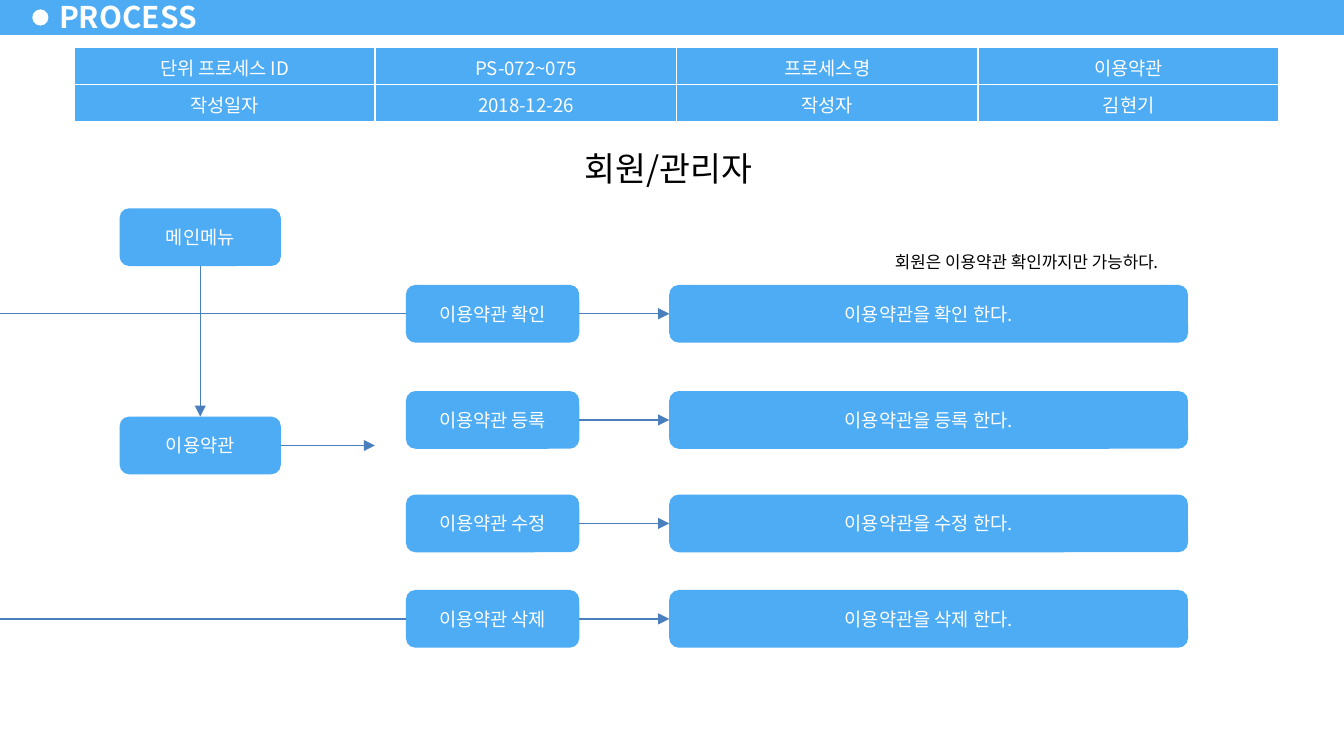
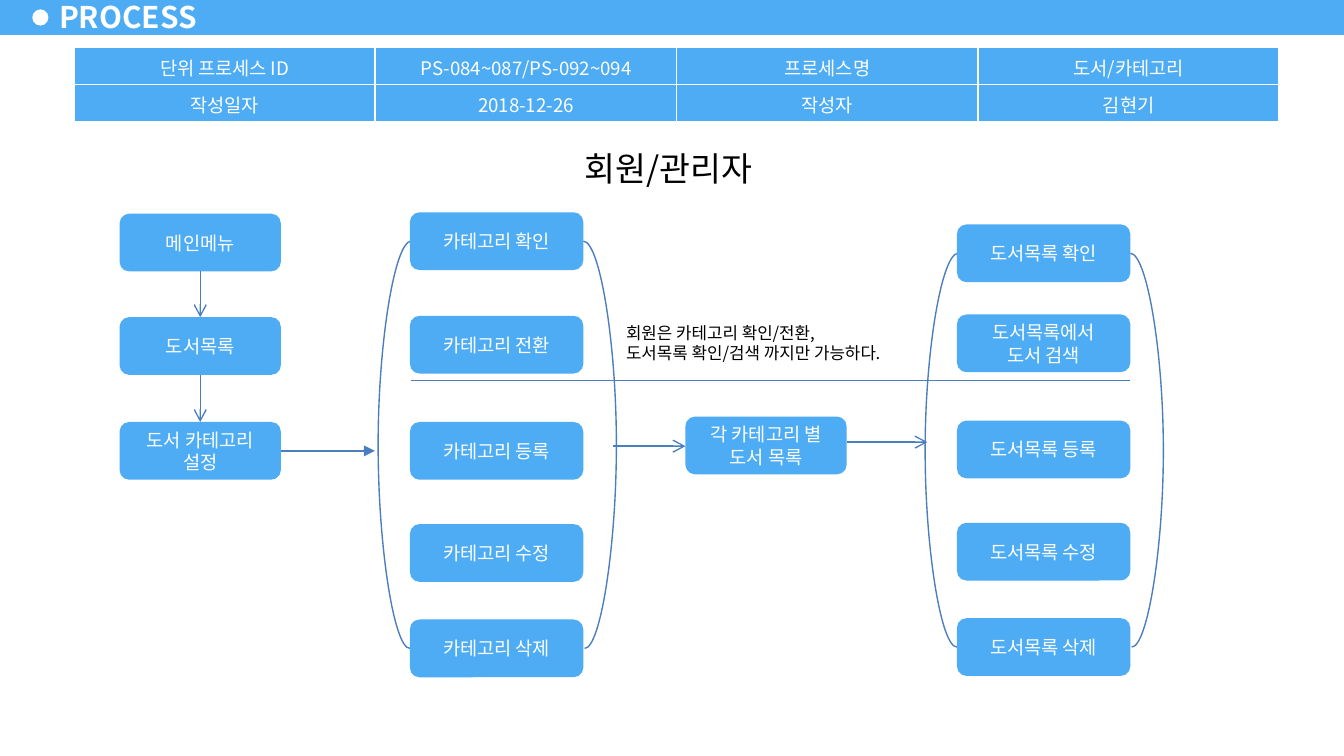
from dataclasses import dataclass

from lxml.etree import SubElement
from pptx import Presentation
from pptx.dml.color import RGBColor
from pptx.enum.shapes import MSO_CONNECTOR as Link, MSO_SHAPE as Preset
from pptx.enum.text import MSO_ANCHOR as Anchor, MSO_AUTO_SIZE as Fit, PP_ALIGN as Align
from pptx.oxml import parse_xml
from pptx.oxml.ns import nsdecls, qn
from pptx.util import Inches, Pt


@dataclass(frozen=True)
class Theme:
    """Colours, font and type sizes shared by the slides."""
    blue: RGBColor = RGBColor(0x4D, 0xAC, 0xF3)
    line: RGBColor = RGBColor(0x4B, 0x7E, 0xBC)
    white: RGBColor = RGBColor(0xFF, 0xFF, 0xFF)
    black: RGBColor = RGBColor(0, 0, 0)
    font: str = "Noto Sans CJK KR"
    title: int = 16
    role: int = 18
    body: int = 10
    note: int = 9
    stroke: float = 0.75


THEME = Theme()
NODE_HEIGHT = 0.43
STEP_WIDTH = 1.2
TASK_WIDTH = 1.29


def write(frame, text, size, color, align=Align.CENTER, bold=False, **settings):
    """Fill a text frame with one paragraph per line of text."""
    for name, value in settings.items():
        setattr(frame, name, value)
    for index, line in enumerate(text.split("\n")):
        para = frame.paragraphs[0] if index == 0 else frame.add_paragraph()
        para.alignment = align
        span = para.add_run()
        span.text = line
        for name, value in {"size": Pt(size), "name": THEME.font, "bold": bold}.items():
            setattr(span.font, name, value)
        span.font.color.rgb = color
        SubElement(span.font._element, qn("a:ea"), typeface=THEME.font)


def add_box(page, preset, box, fill):
    """Add a flat shape without an outline."""
    shape = page.shapes.add_shape(preset, *map(Inches, box))
    shape.shadow.inherit = False
    shape.fill.solid()
    shape.fill.fore_color.rgb = fill
    shape.line.fill.background()
    return shape


def add_node(page, box, text):
    """Add a rounded blue node with centred white text."""
    shape = add_box(page, Preset.ROUNDED_RECTANGLE, box, THEME.blue)
    write(shape.text_frame, text, THEME.body, THEME.white,
          vertical_anchor=Anchor.MIDDLE, word_wrap=True)


def add_line(page, start, end, head=None, kind=Link.STRAIGHT):
    """Add a thin line, with an arrowhead at its end if one is named."""
    line = page.shapes.add_connector(kind, *map(Inches, (*start, *end)))
    line.line.color.rgb = THEME.line
    line.line.width = Pt(THEME.stroke)
    if head:
        SubElement(line.line._get_or_add_ln(), qn("a:tailEnd"), type=head)
    SubElement(line._element.spPr, qn("a:effectLst"))
    return line


def add_bracket(page, x, top, bottom, side):
    """Add a curve that bulges left (side -1) or right (side 1)."""
    width, bulge = 0.01, 0.25
    curve = add_line(page, (x, top), (x + side * width, bottom), kind=Link.CURVE)
    guides = curve._element.spPr.find(qn("a:prstGeom")).find(qn("a:avLst"))
    SubElement(guides, qn("a:gd"), name="adj1", fmla=f"val {round(bulge / width * 100000)}")


def add_note(page, box, text):
    """Add a small black remark that keeps its own line breaks."""
    note = page.shapes.add_textbox(*map(Inches, box))
    write(note.text_frame, text, THEME.note, THEME.black, Align.LEFT,
          word_wrap=False, auto_size=Fit.SHAPE_TO_FIT_TEXT)


def add_header(page, box):
    """Draw the title band with its bullet and title."""
    left, top, width, height = box
    add_box(page, Preset.RECTANGLE, box, THEME.blue)
    add_box(page, Preset.OVAL, (left + 0.24, top + 0.09, 0.12, 0.12), THEME.white)
    title = page.shapes.add_textbox(
        *map(Inches, (left + 0.35, top - 0.02, 1.22, height + 0.04)))
    write(title.text_frame, "PROCESS", THEME.title, THEME.white, Align.LEFT, True,
          vertical_anchor=Anchor.MIDDLE, word_wrap=False,
          margin_left=Inches(0.09), margin_right=Inches(0.09),
          margin_top=Inches(0.04), margin_bottom=Inches(0.04))


def add_info_table(page, box, process_id, process_name):
    """Draw the table that identifies the process."""
    rows = [["단위 프로세스 ID", process_id, "프로세스명", process_name],
            ["작성일자", "2018-12-26", "작성자", "김현기"]]
    table = page.shapes.add_table(len(rows), len(rows[0]), *map(Inches, box)).table
    table.first_row = table.horz_banding = False
    for row, texts in enumerate(rows):
        for column, text in enumerate(texts):
            cell = table.cell(row, column)
            cell.fill.solid()
            cell.fill.fore_color.rgb = THEME.blue
            cell.vertical_anchor = Anchor.MIDDLE
            write(cell.text_frame, text, THEME.body, THEME.white)
            for index, edge in enumerate(("lnL", "lnR", "lnT", "lnB")):
                border = parse_xml(
                    f'<a:{edge} {nsdecls("a")} w="{Pt(1)}"><a:solidFill>'
                    f'<a:srgbClr val="{THEME.white}"/></a:solidFill></a:{edge}>')
                cell._tc.get_or_add_tcPr().insert(index, border)


def add_role(page, box):
    """Draw the heading that names who runs the process."""
    heading = add_box(page, Preset.RECTANGLE, box, THEME.white)
    write(heading.text_frame, "회원/관리자", THEME.role, THEME.black,
          vertical_anchor=Anchor.TOP, word_wrap=True)


def add_nodes(page, left, width, tops, texts):
    """Stack nodes of equal width at the given heights."""
    for top, text in zip(tops, texts):
        add_node(page, (left, top, width, NODE_HEIGHT), text)


def add_steps(page, left, tops, texts, head):
    """Stack menu steps, link them downwards and point right from the last."""
    middle, right = left + STEP_WIDTH / 2, left + STEP_WIDTH
    add_nodes(page, left, STEP_WIDTH, tops, texts)
    for upper, lower in zip(tops, tops[1:]):
        add_line(page, (middle, upper + NODE_HEIGHT), (middle, lower), head)
    exit_y = tops[-1] + NODE_HEIGHT / 2
    add_line(page, (right, exit_y), (right + 0.7, exit_y), "triangle")


def add_task_rows(page, left, tops, verbs):
    """Draw each terms task with an arrow to its description."""
    detail_left, detail_width = 4.98, 3.86
    add_nodes(page, left, TASK_WIDTH, tops, [f"이용약관 {verb}" for verb in verbs])
    add_nodes(page, detail_left, detail_width, tops,
              [f"이용약관을 {verb} 한다." for verb in verbs])
    for top in tops:
        y = top + NODE_HEIGHT / 2
        add_line(page, (left + TASK_WIDTH, y), (detail_left, y), "triangle")
    for top in (tops[0], tops[-1]):
        y = top + NODE_HEIGHT / 2
        add_line(page, (0, y), (left, y))


def add_task_group(page, left, tops, texts):
    """Draw a column of tasks enclosed by a pair of curves."""
    first, last = (top + NODE_HEIGHT / 2 for top in (tops[0], tops[-1]))
    add_bracket(page, left + 0.01, first, last, -1)
    add_bracket(page, left + TASK_WIDTH, first, last, 1)
    add_nodes(page, left, TASK_WIDTH, tops, texts)


def add_process_page(deck, process_id, process_name):
    """Start a slide with everything that all process slides share."""
    page = deck.slides.add_slide(deck.slide_layouts[6])
    add_header(page, (0, -0.02, 10, 0.28))
    add_info_table(page, (0.55, 0.35, 8.97, 0.56), process_id, process_name)
    add_role(page, (3.94, 1.05, 2.07, 0.41))
    return page


def add_terms_page(deck):
    """Build the slide about the terms of use."""
    page = add_process_page(deck, "PS-072~075", "이용약관")
    add_steps(page, 0.89, [1.55, 3.1], ["메인메뉴", "이용약관"], "triangle")
    add_task_rows(page, 3.02, [2.12, 2.91, 3.68, 4.39], ["확인", "등록", "수정", "삭제"])
    add_note(page, (6.56, 1.82, 2.38, 0.25), "회원은 이용약관 확인까지만 가능하다.")


def add_books_page(deck):
    """Build the slide about books and categories."""
    page = add_process_page(deck, "PS-084~087/PS-092~094", "도서/카테고리")
    add_steps(page, 0.89, [1.59, 2.36, 3.14],
              ["메인메뉴", "도서목록", "도서 카테고리 설정"], "arrow")
    add_task_group(page, 3.05, [1.58, 2.35, 3.14, 3.9, 4.61],
                   [f"카테고리 {verb}" for verb in ("확인", "전환", "등록", "수정", "삭제")])
    add_task_group(page, 7.12, [1.67, 2.34, 3.13, 3.89, 4.6],
                   ["도서목록 확인", "도서목록에서\n도서 검색", "도서목록 등록",
                    "도서목록 수정", "도서목록 삭제"])
    add_node(page, (5.1, 3.1, STEP_WIDTH, NODE_HEIGHT), "각 카테고리 별 도서 목록")
    add_line(page, (4.56, 3.32), (5.1, 3.32), "arrow")
    add_line(page, (6.3, 3.29), (6.9, 3.29), "arrow")
    add_line(page, (3.06, 2.83), (8.41, 2.83))
    add_note(page, (4.56, 2.35, 2.3, 0.4),
             "회원은 카테고리 확인/전환,\n도서목록 확인/검색 까지만 가능하다.")


def main():
    """Build the widescreen deck and save it."""
    deck = Presentation()
    deck.slide_width = Inches(10)
    deck.slide_height = deck.slide_width * 9 // 16
    add_terms_page(deck)
    add_books_page(deck)
    deck.save("out.pptx")


main()
